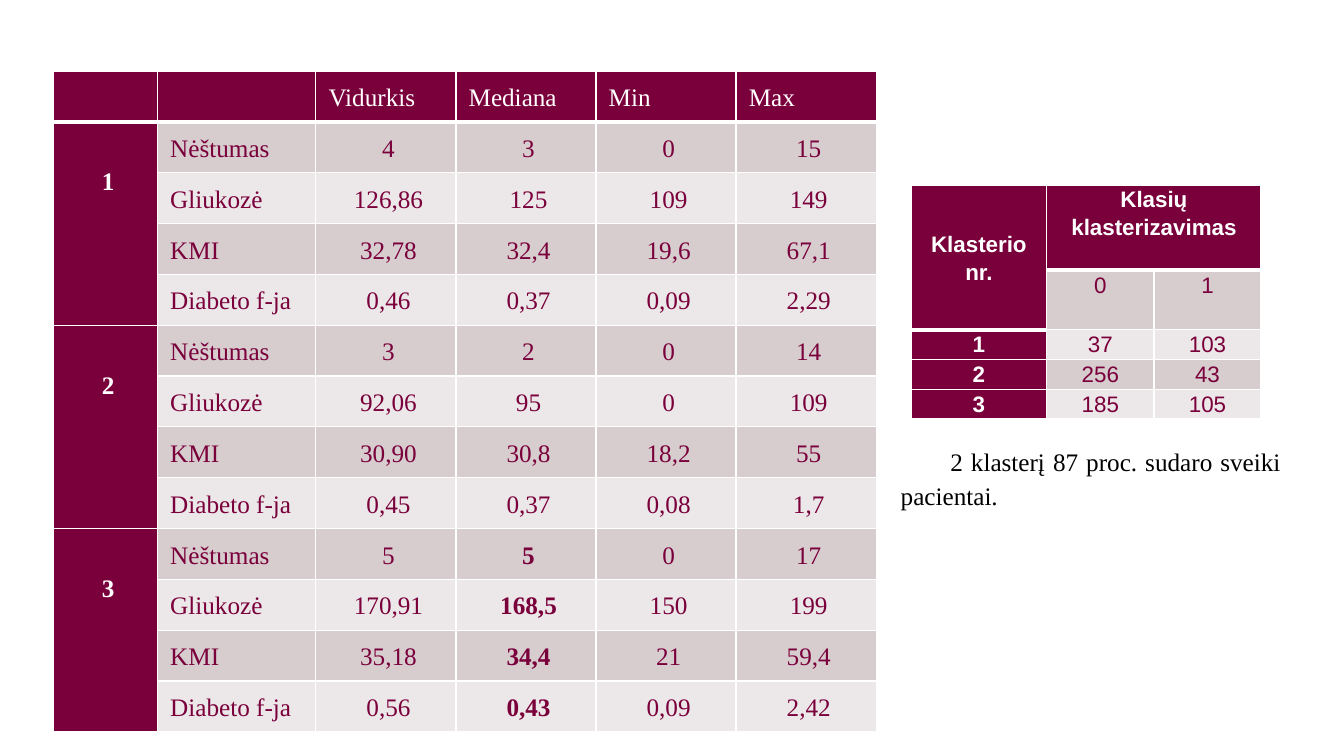
from lxml.etree import SubElement
from pptx import Presentation
from pptx.dml.color import RGBColor as RGB
from pptx.enum.text import MSO_ANCHOR as Anchor, MSO_AUTO_SIZE as AutoSize, PP_ALIGN as Align
from pptx.oxml.ns import qn
from pptx.util import Cm, Pt

COLORS = {"wine": "7A003B", "band": "D7CCCE", "pale": "ECE7E8",
          "white": "FFFFFF", "black": "000000"}

# Content: mean, median, minimum and maximum of each feature per cluster
HEADERS = ["Vidurkis", "Mediana", "Min", "Max"]
FEATURES = ["Nėštumas", "Gliukozė", "KMI", "Diabeto f-ja"]
CLUSTERS = {
    "1": ["4 3 0 15", "126,86 125 109 149", "32,78 32,4 19,6 67,1", "0,46 0,37 0,09 2,29"],
    "2": ["3 2 0 14", "92,06 95 0 109", "30,90 30,8 18,2 55", "0,45 0,37 0,08 1,7"],
    "3": ["5 5 0 17", "170,91 168,5 150 199", "35,18 34,4 21 59,4", "0,56 0,43 0,09 2,42"],
}
CLASSES = [["Klasterio nr.", "Klasių klasterizavimas", ""],
           ["", "0", "1"],
           ["1", "37", "103"],
           ["2", "256", "43"],
           ["3", "185", "105"]]
NOTE = "2 klasterį 87 proc. sudaro sveiki pacientai."


class SlideBuilder:
    def __init__(self, prs, colors):
        self.slide = prs.slides.add_slide(prs.slide_layouts[6])
        self.colors = colors

    def add_text(self, p, text, color, align, font):
        """Fill a paragraph with one formatted run."""
        for name, value in {"alignment": align, "line_spacing": 1.11,
                            "space_after": Pt(0.7)}.items():
            setattr(p, name, value)
        r = p.add_run()
        r.text = text
        for name, value in font.items():
            setattr(r.font, name, value)
        r.font.color.rgb = RGB.from_string(self.colors[color])

    def borders(self, cell, widths):
        """Draw white cell borders; widths maps a side to points."""
        tc_pr = cell._tc.get_or_add_tcPr()
        for side, width in widths.items():
            ln = SubElement(tc_pr, qn(f"a:ln{side}"), w=str(Pt(width)))
            fill = SubElement(ln, qn("a:solidFill"))
            SubElement(fill, qn("a:srgbClr"), val=self.colors["white"])

    def table(self, at, rows, widths, heights, font, margins, merges, is_bold, align_of, thick):
        """Add a table with wine headings and banded values."""
        left, top = at
        tbl = self.slide.shapes.add_table(len(rows), len(widths), Cm(left), Cm(top),
                                          Cm(sum(widths)), Cm(sum(heights))).table
        tbl.first_row = tbl.horz_banding = False
        for col, width in zip(tbl.columns, widths):
            col.width = Cm(width)
        for row, height in zip(tbl.rows, heights):
            row.height = Cm(height)
        for i, row in enumerate(rows):
            for j, text in enumerate(row):
                cell = tbl.cell(i, j)
                heading = i == 0 or j == 0
                sides = {"L": 1, "R": 1}
                if i == 0:
                    sides["T"] = 1
                sides["B"] = 3 if (i, j) in thick else 1
                self.borders(cell, sides)
                fill = "wine" if heading else "band" if i % 2 else "pale"
                cell.fill.solid()
                cell.fill.fore_color.rgb = RGB.from_string(self.colors[fill])
                for name, value in margins.items():
                    setattr(cell, f"margin_{name}", Cm(value))
                if text:
                    self.add_text(cell.text_frame.paragraphs[0], text,
                                  "white" if heading else "wine", align_of(i, j),
                                  {**font, "bold": is_bold(i, j)})
        for first, last in merges:
            tbl.cell(*first).merge(tbl.cell(*last))
        return tbl

    def note(self, at, size, text, font, indent):
        """Add a justified paragraph with a first-line indent."""
        sp = self.slide.shapes.add_textbox(*map(Cm, at + size))
        tf = sp.text_frame
        tf.word_wrap = True
        tf.auto_size = AutoSize.SHAPE_TO_FIT_TEXT
        p = tf.paragraphs[0]
        p._p.get_or_add_pPr().set("indent", str(Cm(indent)))
        self.add_text(p, text, "black", Align.JUSTIFY, font)


def main():
    prs = Presentation()
    prs.slide_width, prs.slide_height = Cm(33.87), Cm(19.05)
    page = SlideBuilder(prs, COLORS)
    serif = {"name": "Times New Roman", "size": Pt(18)}
    sans = {"name": "Arial", "size": Pt(16)}

    # Cluster statistics
    rows = [["", ""] + HEADERS]
    for number, values in CLUSTERS.items():
        for k, (feature, line) in enumerate(zip(FEATURES, values)):
            rows.append(["" if k else number, feature] + line.split())
    span = len(FEATURES)
    starts = range(1, len(rows), span)
    stats = page.table(
        (1.35, 1.79), rows, [2.62, 3.99] + [3.53] * 4, [1.27] * len(rows), serif,
        {"left": 0.32, "top": 0.25, "right": 0.19, "bottom": 0.25},
        [((i, 0), (i + span - 1, 0)) for i in starts],
        lambda i, j: i > 0 and (j == 0 or (j == 3 and i >= starts[-1])),
        lambda i, j: Align.JUSTIFY if i == 0 or j == 1 else Align.CENTER,
        {(0, j) for j in range(6)})
    for j in range(2, 6):
        stats.cell(0, j).vertical_anchor = Anchor.MIDDLE
    for i in starts:
        stats.cell(i, 0).margin_top = Cm(1.09)

    # Classes found in each cluster
    classes = page.table(
        (22.96, 4.66), CLASSES, [3.42, 2.7, 2.7], [2.15, 1.5] + [0.75] * 3, sans,
        {"left": 0.19, "top": 0, "right": 0.19, "bottom": 0},
        [((0, 0), (1, 0)), ((0, 1), (0, 2))],
        lambda i, j: i == 0 or j == 0, lambda i, j: Align.CENTER,
        {(0, 0), (1, 0), (0, 1), (0, 2)})
    classes.cell(0, 0).vertical_anchor = Anchor.MIDDLE

    # Conclusion
    page.note((22.45, 11.05), (10.08, 1.91), NOTE, serif, 1.25)
    prs.save("out.pptx")


if __name__ == "__main__":
    main()
